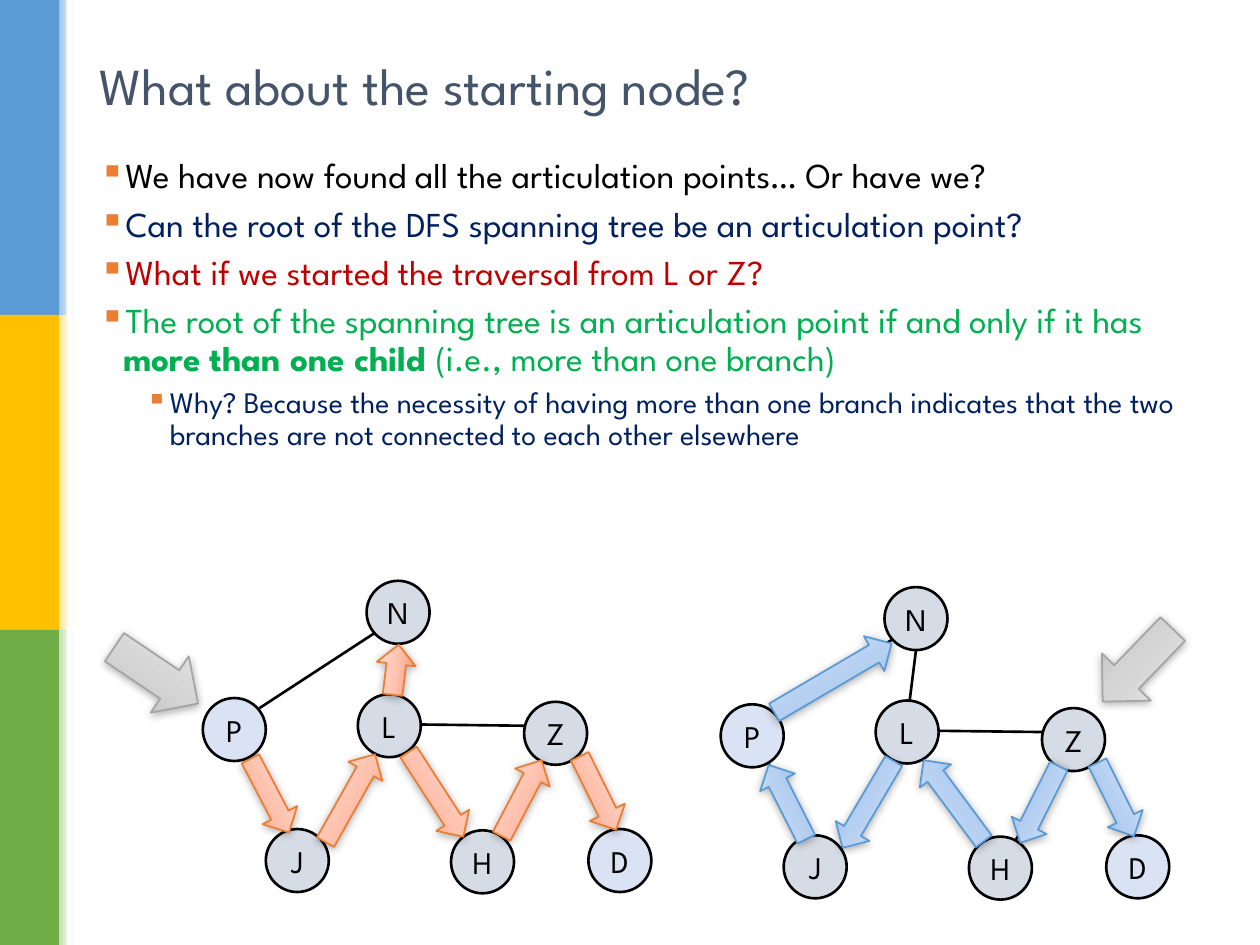
from dataclasses import dataclass

from lxml import etree
from pptx import Presentation
from pptx import util as u
from pptx.dml.color import RGBColor
from pptx.enum import shapes, text
from pptx.oxml import parse_xml
from pptx.oxml.ns import nsdecls, qn


@dataclass
class Theme:
    font: str = "League Spartan"
    title_size: float = 29.7
    body_size: int = 20
    detail_size: int = 17
    node_size: int = 18
    title: str = "44546A"
    ink: str = "000000"
    navy: str = "002060"
    red: str = "C00000"
    green: str = "00B050"
    bullet: str = "ED7D31"
    node: str = "D6DCE5"
    end_node: str = "DAE3F3"
    # Arrow style: three gradient stops, then the outline
    grey: tuple = ("B1B1B1", "D5D5D5", "EDEDED", "A5A5A5")
    orange: tuple = ("EF9166", "FFC2AF", "FFE6DF", "ED7D31")
    blue: tuple = ("7AA9DA", "B6D0F2", "DCEAFF", "5B9BD5")


theme = Theme()
presentation = Presentation()
presentation.slide_width, presentation.slide_height = u.Inches(10), u.Inches(7.5)
slide = presentation.slides.add_slide(presentation.slide_layouts[5])
cell = presentation.slide_width / 10  # square grid: 10 columns by 7.5 rows


def add_shape(kind, left, top, width, height, fill, line=None, line_width=1.5):
    """Add a preset shape; a list of (position, colour) makes a gradient."""
    box = [round(value * cell) for value in (left, top, width, height)]
    shape = slide.shapes.add_shape(kind, *box)
    shape.shadow.inherit = False
    if isinstance(fill, str):
        shape.fill.solid()
        shape.fill.fore_color.rgb = RGBColor.from_string(fill)
    else:
        shape.fill.gradient()
        stops = shape._element.spPr.find(qn("a:gradFill")).find(qn("a:gsLst"))
        for stop in list(stops):
            stops.remove(stop)
        for position, color in fill:
            stops.append(parse_xml(
                f'<a:gs {nsdecls("a")} pos="{position * 1000}"><a:srgbClr val="{color}"/></a:gs>'))
    if line:
        shape.line.color.rgb = RGBColor.from_string(line)
        shape.line.width = u.Pt(line_width)
    else:
        shape.line.fill.background()
    return shape


def add_run(paragraph, words, size, color, bold=False):
    run = paragraph.add_run()
    run.text = words
    run.font.name, run.font.size, run.font.bold = theme.font, u.Pt(size), bold
    run.font.color.rgb = RGBColor.from_string(color)


# Side bands, each fading out to the right
bands = [("5B9BD5", "9DC3E6"), ("FFC000", "FFE699"), ("70AD47", "C5E0B4")]
for row, (solid, pale) in enumerate(bands):
    add_shape(shapes.MSO_SHAPE.RECTANGLE, 0, row * 2.5, 0.47, 2.5, solid)
    fade = add_shape(shapes.MSO_SHAPE.RECTANGLE, 0.47, row * 2.5, 0.12, 2.5,
                     [(0, pale), (100, "FFFFFF")])
    fade.fill.gradient_angle = 0
add_shape(shapes.MSO_SHAPE.RECTANGLE, 0.53, 0, 0.04, 7.5, "FFFFFF")

# Title
title = slide.shapes.title
title.left, title.top, title.width, title.height = [
    round(value * cell) for value in (0.69, 0.42, 8.62, 0.51)]
title.text_frame.auto_size = text.MSO_AUTO_SIZE.NONE
title.text_frame.vertical_anchor = text.MSO_ANCHOR.MIDDLE
title.text_frame.paragraphs[0].alignment = text.PP_ALIGN.LEFT
add_run(title.text_frame.paragraphs[0], "What about the starting node?",
        theme.title_size, theme.title)

# Bulleted text: level, colour, (words, bold) runs
bullets = [
    (0, theme.ink, [("We have now found all the articulation points… Or have we?", False)]),
    (0, theme.navy, [("Can the root of the DFS spanning tree be an articulation point?", False)]),
    (0, theme.red, [("What if we started the traversal from L or Z?", False)]),
    (0, theme.green, [
        ("The root of the spanning tree is an articulation point if and only if it has ", False),
        ("more than one child ", True),
        ("(i.e., more than one branch)", False)]),
    (1, theme.navy, [("Why? Because the necessity of having more than one branch indicates that "
                      "the two branches are not connected to each other elsewhere", False)]),
]
body = slide.shapes.add_textbox(
    *[round(value * cell) for value in (0.69, 1.21, 8.92, 3.23)]).text_frame
body.word_wrap = True
for index, (level, color, runs) in enumerate(bullets):
    paragraph = body.add_paragraph() if index else body.paragraphs[0]
    size = theme.detail_size if level else theme.body_size
    properties = paragraph._p.get_or_add_pPr()
    properties.set("marL", str(u.Inches(0.56 if level else 0.19)))
    properties.set("indent", str(-u.Inches(0.19)))
    bullet_color = etree.SubElement(properties, qn("a:buClr"))
    etree.SubElement(bullet_color, qn("a:srgbClr"), val=theme.bullet)
    etree.SubElement(properties, qn("a:buChar"), char="▪")
    paragraph.level = level
    paragraph.line_spacing = 0.9
    if index:
        paragraph.space_before = u.Pt(round(size * 0.3))
    for words, bold in runs:
        add_run(paragraph, words, size, color, bold)

# One graph, drawn twice: nodes by top-left corner, edges by their ends
nodes = {"P": (1.61, 5.54), "J": (2.11, 6.58), "N": (2.91, 4.61), "Z": (4.16, 5.57),
         "H": (3.58, 6.59), "D": (4.67, 6.58), "L": (2.84, 5.51)}
edges = [(2.98, 5.02, 2.06, 5.62), (3.34, 5.75, 4.16, 5.76), (4.29, 6.03, 3.95, 6.62),
         (1.98, 5.99, 2.27, 6.58), (4.58, 5.99, 4.88, 6.58), (3.16, 5.11, 3.11, 5.51),
         (2.97, 5.99, 2.56, 6.70), (3.68, 6.62, 3.21, 5.97)]

# Tree arrows shared by both traversals: left, top, length, angle from P, angle from Z
steps = [(1.81, 6.16, 0.66, 62.3, 243.1), (2.38, 6.18, 0.80, 299.4, 120.5),
         (3.06, 6.15, 0.80, 57.1, 233.4), (3.80, 6.18, 0.68, 297.7, 116.6),
         (4.42, 6.14, 0.65, 63.6, 63.6)]

# Traversals: offset, colours, which angle, arrow into N, start marker
traversals = [
    (0, 0, theme.orange, 3, (2.94, 5.16, 0.40, 0.31, 276.9), (0.84, 5.09, 0.80, 0.54, 34)),
    (4.11, 0.05, theme.blue, 4, (6.07, 5.22, 1.08, 0.32, 329.6), (8.63, 5.01, 0.80, 0.54, 134)),
]
for across, down, colors, angle, last_step, start in traversals:
    for x1, y1, x2, y2 in edges:
        ends = (x1 + across, y1 + down, x2 + across, y2 + down)
        edge = slide.shapes.add_connector(
            shapes.MSO_CONNECTOR.STRAIGHT, *[round(value * cell) for value in ends])
        edge.line.color.rgb = RGBColor.from_string(theme.ink)
        edge.line.width = u.Pt(1.5)
        etree.SubElement(edge._element.spPr, qn("a:effectLst"))

    for name, (left, top) in nodes.items():
        node = add_shape(shapes.MSO_SHAPE.OVAL, left + across, top + down, 0.5, 0.5,
                         theme.end_node if name in "PD" else theme.node, theme.ink)
        node.text_frame.word_wrap = False
        node.text_frame.vertical_anchor = text.MSO_ANCHOR.MIDDLE
        node.text_frame.paragraphs[0].alignment = text.PP_ALIGN.CENTER
        add_run(node.text_frame.paragraphs[0], name, theme.node_size, theme.ink)

    arrows = [(start, theme.grey), (last_step, colors)]
    arrows += [((step[0] + across, step[1] + down, step[2], 0.31, step[angle]), colors)
               for step in steps]
    for (left, top, width, height, rotation), (dark, middle, light, line) in arrows:
        arrow = add_shape(shapes.MSO_SHAPE.RIGHT_ARROW, left, top, width, height,
                          [(0, dark), (48, middle), (100, light)], line, 1)
        arrow.fill.gradient_angle = 90
        arrow.rotation = rotation
        # Soft shadow straight below
        effects = arrow._element.spPr.find(qn("a:effectLst"))
        effects.append(parse_xml(
            f'<a:outerShdw {nsdecls("a")} blurRad="{u.Pt(5)}" dist="{u.Pt(1)}" dir="5400000" '
            'rotWithShape="0"><a:srgbClr val="000000"><a:alpha val="32000"/></a:srgbClr>'
            '</a:outerShdw>'))

presentation.save("out.pptx")
